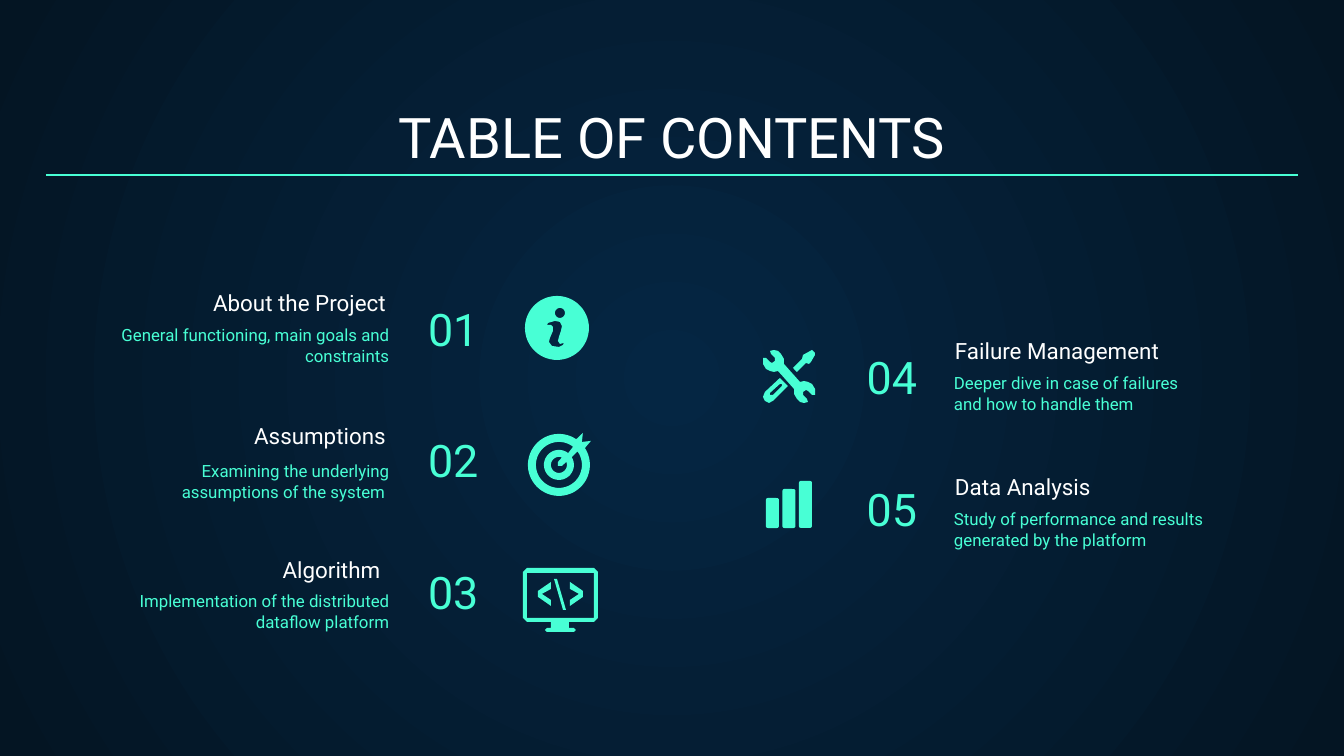
from math import cos, radians, sin

from pptx import Presentation
from pptx.dml.color import RGBColor
from pptx.enum.shapes import MSO_CONNECTOR, MSO_SHAPE
from pptx.enum.text import MSO_ANCHOR, PP_ALIGN
from pptx.oxml import parse_xml
from pptx.oxml.ns import nsdecls, qn
from pptx.util import Pt

PX = 914400 / 134.4
WIDTH, HEIGHT = 1344, 756
MINT, WHITE = "48FFD5", "FFFFFF"
BACKDROP = ("052643", "041523")
INSET = 13

TITLE = "TABLE OF CONTENTS"

# number, heading, summary, then the tops of number, heading and summary
LEFT_ENTRIES = [
    ("01", "About the Project",
     "General functioning, main goals and constraints", 280, 301, 312),
    ("02", "Assumptions",
     "Examining the underlying assumptions of the system ", 411, 434, 448),
    ("03", "Algorithm ",
     "Implementation of the distributed dataflow platform", 543, 568, 578),
]
RIGHT_ENTRIES = [
    ("04", "Failure Management",
     "Deeper dive in case of failures and how to handle them", 328, 349, 360),
    ("05", "Data Analysis",
     "Study of performance and results generated by the platform", 460, 485, 496),
]
# entries, text alignment, number alignment, (left, width) of each part
COLUMNS = [
    (LEFT_ENTRIES, PP_ALIGN.RIGHT, PP_ALIGN.LEFT, (415, 173), (94, 305), (106, 296)),
    (RIGHT_ENTRIES, PP_ALIGN.LEFT, PP_ALIGN.RIGHT, (757, 173), (942, 305), (941, 278)),
]


def arc(center, radius, start=0, end=360, step=6):
    """Points along an arc, in degrees clockwise from the right."""
    count = max(1, round(abs(end - start) / step))
    angles = [radians(start + (end - start) * i / count) for i in range(count + 1)]
    return [(center[0] + radius * cos(a), center[1] + radius * sin(a)) for a in angles]


INFO_STEM = [
    (555, 321), (560, 322), (562, 326), (561, 331), (559, 337), (558, 341),
    (560, 344), (564, 343), (563, 345), (559, 347), (552, 346), (549, 342),
    (550, 338), (553, 331), (553, 327), (551, 325), (547, 325), (548, 323),
]
INFO = [arc((557, 328), 32), arc((560, 313), 5), INFO_STEM]

BULLSEYE = (559, 465)
TARGET = [
    [(583, 433)] + arc(BULLSEYE, 31, -56, -393) + [(591, 441), (582, 442)],
    arc(BULLSEYE, 23, -36, 308) + arc(BULLSEYE, 15, 308, -31),
    arc(BULLSEYE, 8, -22, 292) + [(558, 462), (558, 466), (562, 466)],
]

MONITOR = [
    [(527, 568), (594, 568), (598, 572), (598, 618), (594, 622), (569, 622),
     (569, 628), (574, 628), (576, 630), (574, 632), (547, 632), (545, 630),
     (547, 628), (551, 628), (551, 622), (527, 622), (523, 618), (523, 572)],
    [(527, 573), (594, 573), (594, 618), (527, 618)],
]
LESS_THAN = [(551, 606), (538, 597), (538, 591), (551, 582),
             (551, 589), (542, 594), (551, 600)]
GREATER_THAN = [(1121 - x, y) for x, y in LESS_THAN]
BACKSLASH = [(554, 579), (557, 579), (566, 610), (563, 610)]

WRENCH_JAW = [
    (784, 364), (784, 359), (781, 354), (778, 351), (774, 350), (770, 351),
    (771, 354), (775, 358), (775, 361), (772, 363), (770, 362), (766, 358),
    (763, 358), (763, 364), (766, 369), (770, 371), (774, 372), (778, 371),
]
WRENCH = WRENCH_JAW + [(1578 - x, 753 - y) for x, y in WRENCH_JAW]
HANDLE = [
    [(780, 378), (765, 392), (763, 397), (765, 401), (769, 403), (773, 401), (788, 386)],
    [(780, 384), (782, 384), (782, 386), (773, 395), (770, 395), (770, 393)],
]
DRIVER = [(812, 350), (803, 355), (802, 359), (793, 368), (797, 372), (806, 363),
          (809, 364), (811, 362), (815, 355), (815, 353)]

OUTLINES = [INFO, TARGET, MONITOR, [LESS_THAN], [BACKSLASH], [GREATER_THAN],
            [WRENCH], HANDLE, [DRIVER]]

BAR_TOPS = [498, 489, 481]
BAR_LEFT, BAR_PITCH, BAR_WIDTH, BAR_BASE = 766, 16.5, 13, 528


def px(value):
    return round(value * PX)


def color(value):
    return RGBColor.from_string(value)


def paint_backdrop(slide):
    fill = slide.background.fill
    fill.gradient()
    for stop, shade in zip(fill.gradient_stops, BACKDROP):
        stop.color.rgb = color(shade)
    gradient = slide._element.find(".//" + qn("a:gradFill"))
    circle = parse_xml(
        f'<a:path {nsdecls("a")} path="circle">'
        '<a:fillToRect l="50000" t="50000" r="50000" b="50000"/></a:path>')
    gradient.replace(gradient.find(qn("a:lin")), circle)


def add_text(slide, text, left, top, width, height, *, size, ink=MINT,
             align=PP_ALIGN.LEFT, anchor=MSO_ANCHOR.BOTTOM):
    frame = slide.shapes.add_textbox(px(left), px(top), px(width), px(height)).text_frame
    frame.word_wrap = True
    frame.vertical_anchor = anchor
    frame.margin_left = frame.margin_right = px(INSET)
    frame.margin_top = frame.margin_bottom = px(INSET)
    paragraph = frame.paragraphs[0]
    paragraph.alignment = align
    run = paragraph.add_run()
    run.text = text
    run.font.name, run.font.size = "Roboto", Pt(size)
    run.font.color.rgb = color(ink)


def paint(shape):
    shape.shadow.inherit = False
    shape.fill.solid()
    shape.fill.fore_color.rgb = color(MINT)
    shape.line.fill.background()


def add_outline(slide, contours):
    """One filled shape; contours after the first cut holes."""
    first, *holes = [[(px(x), px(y)) for x, y in contour] for contour in contours]
    builder = slide.shapes.build_freeform(*first[0], scale=1.0)
    builder.add_line_segments(first[1:], close=True)
    for hole in holes:
        builder.move_to(*hole[0])
        builder.add_line_segments(hole[1:], close=True)
    paint(builder.convert_to_shape())


def add_rule(slide, left, right, y):
    rule = slide.shapes.add_connector(MSO_CONNECTOR.STRAIGHT, px(left), px(y), px(right), px(y))
    rule.line.color.rgb = color(MINT)
    rule.line.width = Pt(0.75)
    rule._element.spPr.append(parse_xml(f'<a:effectLst {nsdecls("a")}/>'))


def main():
    deck = Presentation()
    deck.slide_width, deck.slide_height = px(WIDTH), px(HEIGHT)
    slide = deck.slides.add_slide(deck.slide_layouts[6])
    paint_backdrop(slide)

    add_text(slide, TITLE, 46, 94, 1252, 89, size=30, ink=WHITE, align=PP_ALIGN.CENTER)
    add_rule(slide, 46, 1298, 175)

    for entries, align, number_align, number_at, heading_at, summary_at in COLUMNS:
        for number, heading, summary, number_top, heading_top, summary_top in entries:
            add_text(slide, number, number_at[0], number_top, number_at[1], 89,
                     size=24, align=number_align)
            add_text(slide, heading, heading_at[0], heading_top, heading_at[1], 28,
                     size=12, ink=WHITE, align=align)
            add_text(slide, summary, summary_at[0], summary_top, summary_at[1], 74,
                     size=9, align=align, anchor=MSO_ANCHOR.TOP)

    for contours in OUTLINES:
        add_outline(slide, contours)
    for i, top in enumerate(BAR_TOPS):
        bar = slide.shapes.add_shape(
            MSO_SHAPE.ROUNDED_RECTANGLE, px(BAR_LEFT + i * BAR_PITCH), px(top),
            px(BAR_WIDTH), px(BAR_BASE - top))
        bar.adjustments[0] = 0.15
        paint(bar)

    deck.save("out.pptx")


if __name__ == "__main__":
    main()
